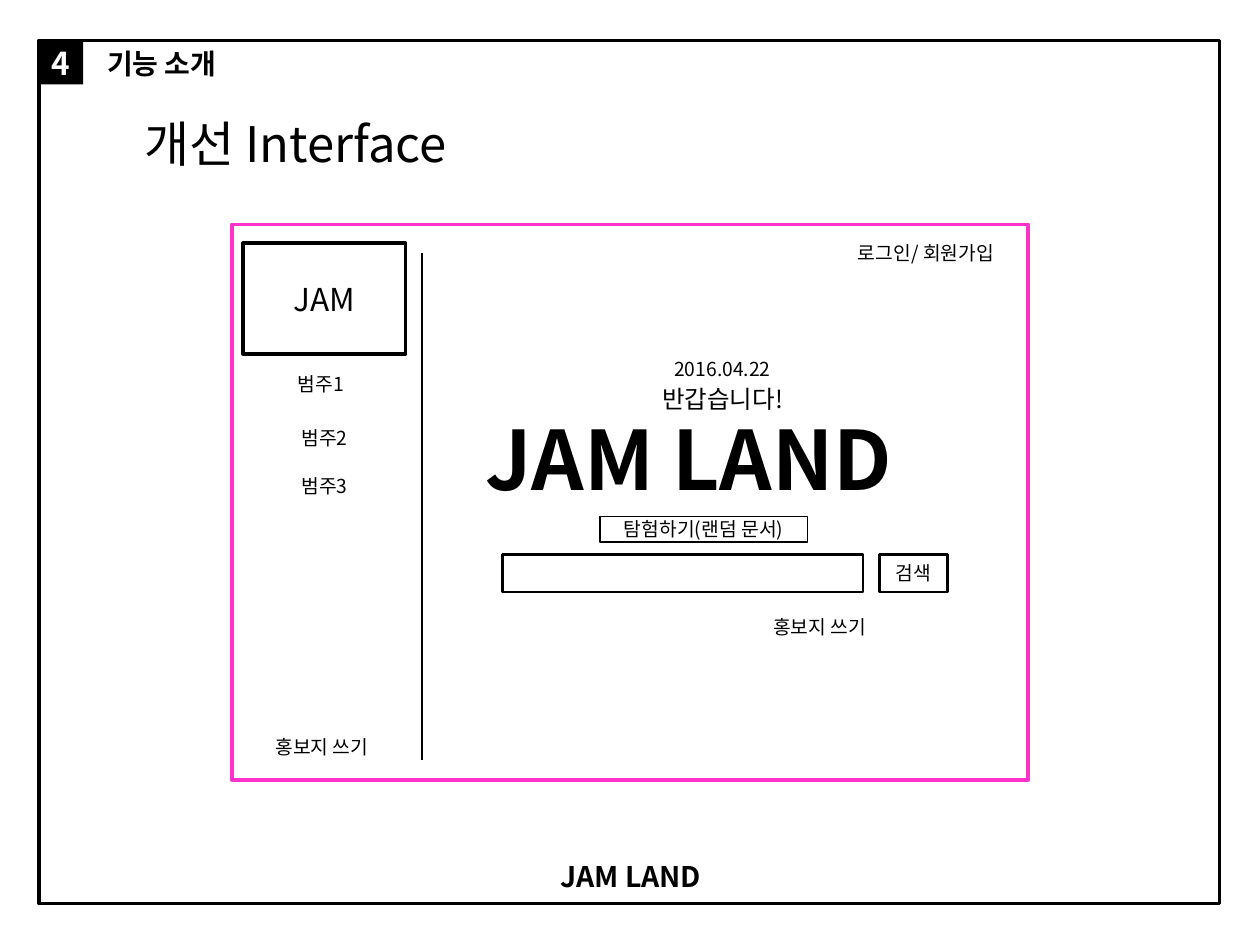
from dataclasses import dataclass

from lxml import etree
from pptx import Presentation
from pptx import util as u
from pptx.dml.color import RGBColor
from pptx.enum import shapes, text
from pptx.oxml.ns import qn


@dataclass(frozen=True)
class Theme:
    """Colours, type sizes in points and the typeface."""
    font: str = "Noto Sans CJK KR"
    ink: str = "000000"
    paper: str = "FFFFFF"
    accent: str = "FF33CC"
    small: float = 11
    greeting: float = 14
    section: float = 16
    footer: float = 16.2
    label: float = 18
    heading: float = 28
    logo: float = 46.8


THEME = Theme()


def place(shape, left, top, width, height):
    """Move and size a shape, in inches."""
    shape.left, shape.top = u.Inches(left), u.Inches(top)
    shape.width, shape.height = u.Inches(width), u.Inches(height)


def write(shape, wording, size, bold=False, color=THEME.ink):
    """Put one centred line of text into a shape."""
    frame = shape.text_frame
    frame.text = wording
    frame.word_wrap = True
    frame.auto_size = text.MSO_AUTO_SIZE.NONE
    frame.vertical_anchor = text.MSO_ANCHOR.MIDDLE
    frame.margin_left = frame.margin_right = 0
    frame.margin_top = frame.margin_bottom = 0
    paragraph = frame.paragraphs[0]
    paragraph.alignment = text.PP_ALIGN.CENTER
    font = paragraph.font
    font.size, font.bold, font.name = u.Pt(size), bold, THEME.font
    font.color.rgb = RGBColor.from_string(color)
    properties = paragraph._p.pPr.find(qn("a:defRPr"))
    etree.SubElement(properties, qn("a:ea"), typeface=THEME.font)


def add_label(parent, at, wording, size=THEME.small, bold=False):
    """Add a text box with one centred line."""
    label = parent.add_textbox(*map(u.Inches, at))
    write(label, wording, size, bold)


def add_box(parent, at, fill=THEME.paper, line=THEME.ink, weight=2.0):
    """Add a rectangle; a fill or line of None is left out."""
    box = parent.add_shape(shapes.MSO_SHAPE.RECTANGLE, *map(u.Inches, at))
    box.shadow.inherit = False
    for part, color in ((box.fill, fill), (box.line.fill, line)):
        if color is None:
            part.background()
        else:
            part.solid()
            part.fore_color.rgb = RGBColor.from_string(color)
    if line is not None:
        box.line.width = u.Pt(weight)
    return box


def add_divider(parent, x, top, bottom):
    """Add a vertical line."""
    divider = parent.add_connector(
        shapes.MSO_CONNECTOR.STRAIGHT,
        u.Inches(x), u.Inches(top), u.Inches(x), u.Inches(bottom))
    divider.line.color.rgb = RGBColor.from_string(THEME.ink)
    divider.line.width = u.Pt(1.5)
    etree.SubElement(divider._element.spPr, qn("a:effectLst"))


def add_page(slide):
    """Draw the page frame, section number, heading and footer title."""
    parent = slide.shapes
    add_box(parent, (0.31, 0.32, 9.37, 6.85), fill=None)
    place(parent.title, 4.1, 6.8, 1.81, 0.31)
    write(parent.title, "JAM LAND", THEME.footer, bold=True)
    number = add_box(parent, (0.31, 0.32, 0.35, 0.35), THEME.ink, None)
    write(number, "4", THEME.label, bold=True, color=THEME.paper)
    add_label(parent, (0.67, 0.32, 1.23, 0.37), "기능 소개", THEME.section, True)
    add_label(parent, (0.59, 0.82, 3.51, 0.63), "개선 Interface", THEME.heading)


def add_sidebar(parent):
    """Draw the left menu of the mock-up."""
    add_divider(parent, 3.35, 2.01, 6.03)
    home = add_box(parent, (1.93, 1.93, 1.29, 0.88))
    write(home, "JAM", THEME.label)
    menu = ((1.93, 2.86, "범주1"), (1.96, 3.29, "범주2"),
            (1.96, 3.67, "범주3"), (1.94, 5.74, "홍보지 쓰기"))
    for left, top, wording in menu:
        add_label(parent, (left, top, 1.23, 0.37), wording)


def add_main_area(parent):
    """Draw the login link, greeting, logo and search of the mock-up."""
    add_label(parent, (6.57, 1.82, 1.56, 0.37), "로그인/ 회원가입")
    add_label(parent, (5.12, 2.74, 1.23, 0.37), "2016.04.22")
    add_label(parent, (5.12, 2.98, 1.23, 0.37), "반갑습니다!", THEME.greeting)
    add_label(parent, (3.58, 3.05, 3.77, 1.17), "JAM LAND", THEME.logo, True)
    explore = add_box(parent, (4.76, 4.1, 1.65, 0.2), weight=1)
    write(explore, "탐험하기(랜덤 문서)", THEME.small)
    search = parent.add_group_shape().shapes
    add_box(search, (3.99, 4.4, 2.86, 0.3), weight=1.5)
    button = add_box(search, (6.98, 4.4, 0.54, 0.3), weight=1.5)
    write(button, "검색", THEME.small)
    add_label(parent, (5.89, 4.79, 1.23, 0.37), "홍보지 쓰기")


def main():
    """Build and save the slide."""
    deck = Presentation()
    deck.slide_width, deck.slide_height = u.Inches(10), u.Inches(7.5)
    slide = deck.slides.add_slide(deck.slide_layouts.get_by_name("Title Only"))
    add_page(slide)
    add_box(slide.shapes, (1.84, 1.78, 6.32, 4.41), line=THEME.accent)
    add_main_area(slide.shapes)
    add_sidebar(slide.shapes)
    deck.save("out.pptx")


if __name__ == "__main__":
    main()
